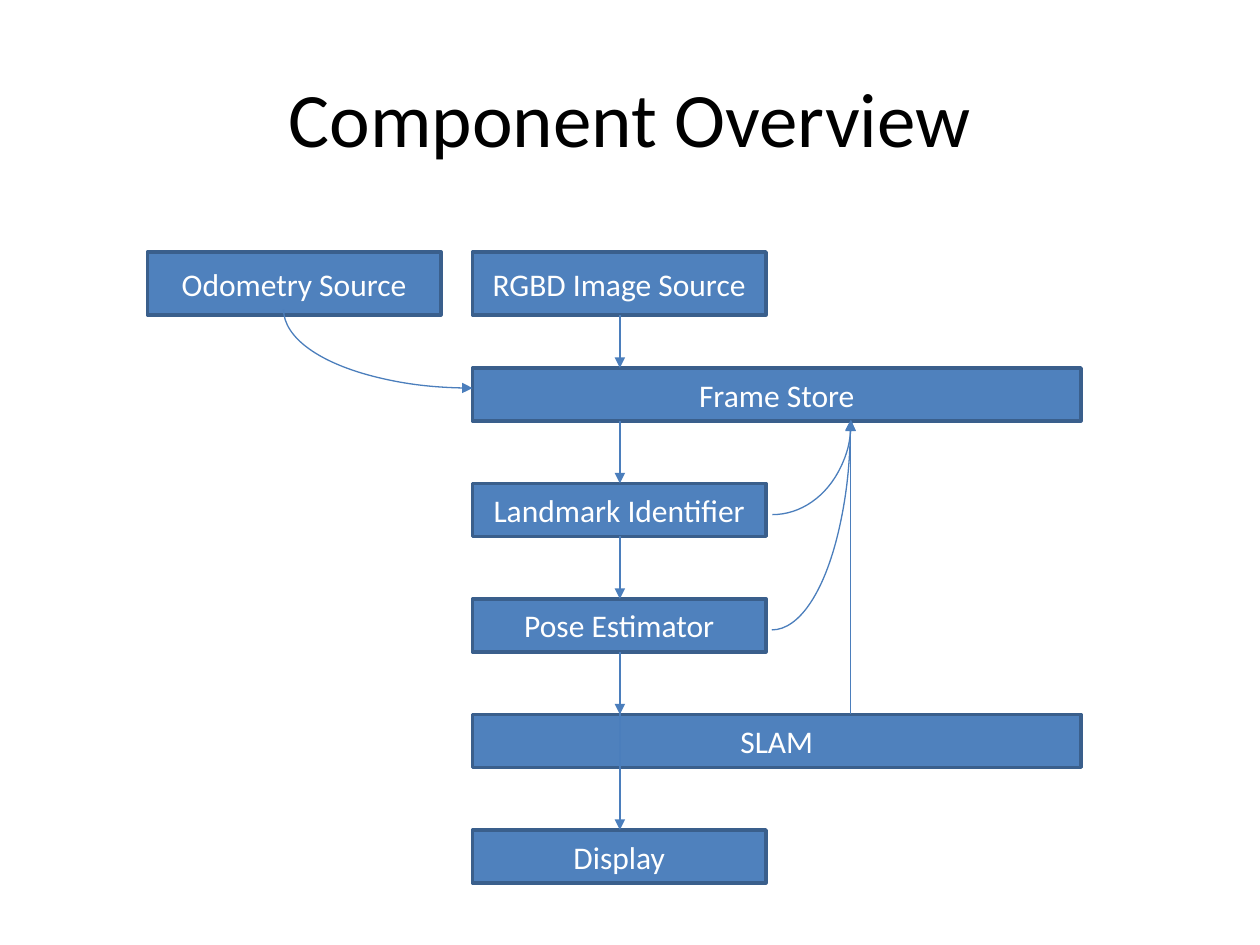
"""Build the component overview slide."""
from dataclasses import dataclass

from lxml.etree import SubElement
from pptx import Presentation
from pptx.dml.color import RGBColor
from pptx.enum.shapes import MSO_CONNECTOR, MSO_SHAPE
from pptx.enum.text import MSO_ANCHOR, PP_ALIGN
from pptx.oxml.ns import qn
from pptx.util import Inches, Pt

LEFT, SLIM, WIDE = 3.75, 2.33, 4.83
TALL, LOW = 0.5, 0.42
TOP, FIRST, STEP = 2, 2.92, 11 / 12
FLOW, BACK = 4.92, 6.75
BLUE, EDGE, LINK = "4F81BD", "3A5F8C", "4B7EBC"


@dataclass
class Box:
    text: str
    left: float
    top: float
    width: float
    height: float = LOW


@dataclass
class Arc:
    left: float
    top: float
    width: float
    height: float
    turn: int


@dataclass
class Arrow:
    x: float
    start: float
    end: float


def color(code: str) -> RGBColor:
    return RGBColor.from_string(code)


def apply(item, values: dict) -> None:
    for name, value in values.items():
        setattr(item, name, value)


def write(frame, text: str, size: int, code: str) -> None:
    frame.text = text
    apply(frame, {"word_wrap": True, "vertical_anchor": MSO_ANCHOR.MIDDLE})
    par = frame.paragraphs[0]
    par.alignment = PP_ALIGN.CENTER
    font = par.runs[0].font
    apply(font, {"name": "Calibri", "size": Pt(size)})
    font.color.rgb = color(code)


def stroke(line, code: str, width: float) -> None:
    line.color.rgb = color(code)
    line.width = Pt(width)


def add_tip(shape, end: str) -> None:
    stroke(shape.line, LINK, 0.75)
    SubElement(shape.line._get_or_add_ln(), qn(f"a:{end}"), type="triangle")


def place(shapes, kind, item: Box | Arc):
    spots = (item.left, item.top, item.width, item.height)
    shape = shapes.add_shape(kind, *map(Inches, spots))
    shape.shadow.inherit = False
    return shape


def draw_box(shapes, box: Box) -> None:
    shape = place(shapes, MSO_SHAPE.RECTANGLE, box)
    shape.fill.solid()
    shape.fill.fore_color.rgb = color(BLUE)
    stroke(shape.line, EDGE, 2)
    write(shape.text_frame, box.text, 18, "FFFFFF")


def draw_arc(shapes, arc: Arc) -> None:
    shape = place(shapes, MSO_SHAPE.ARC, arc)
    shape.rotation = arc.turn
    shape.fill.background()
    add_tip(shape, "headEnd")


def draw_arrow(shapes, arrow: Arrow) -> None:
    ends = (arrow.x, arrow.start, arrow.x, arrow.end)
    link = shapes.add_connector(MSO_CONNECTOR.STRAIGHT, *map(Inches, ends))
    add_tip(link, "tailEnd")
    SubElement(link._element.spPr, qn("a:effectLst"))


def main() -> None:
    deck = Presentation()
    apply(deck, {"slide_width": Inches(10), "slide_height": Inches(7.5)})
    slide = deck.slides.add_slide(deck.slide_layouts[5])
    shapes = slide.shapes
    title = shapes.title
    apply(title, {"left": Inches(0.5), "top": Inches(0.3),
                  "width": Inches(9), "height": Inches(1.25)})
    write(title.text_frame, "Component Overview", 44, "000000")

    steps = [("Frame Store", WIDE), ("Landmark Identifier", SLIM),
             ("Pose Estimator", SLIM), ("SLAM", WIDE), ("Display", SLIM)]
    rows = [FIRST + STEP * i for i in range(len(steps))]
    boxes = [Box("Odometry Source", 1.17, TOP, SLIM, TALL),
             Box("RGBD Image Source", LEFT, TOP, SLIM, TALL)]
    boxes += [Box(text, LEFT, top, width)
              for (text, width), top in zip(steps, rows)]
    arcs = [Arc(5.38, 2.71, 1.5, 1.25, 90),
            Arc(4.46, 2.71, 3.33, 1.25, 90),
            Arc(2.25, 1.83, 3, 1.25, 180)]
    arrows = [Arrow(FLOW, TOP + TALL, FIRST)]
    arrows += [Arrow(FLOW, top + LOW, low)
               for top, low in zip(rows[:3], rows[1:4])]
    arrows += [Arrow(FLOW, 5.42, rows[4]),
               Arrow(BACK, rows[3], FIRST + LOW)]

    for draw, items in ((draw_box, boxes), (draw_arc, arcs),
                        (draw_arrow, arrows)):
        for item in items:
            draw(shapes, item)
    deck.save("out.pptx")


if __name__ == "__main__":
    main()
